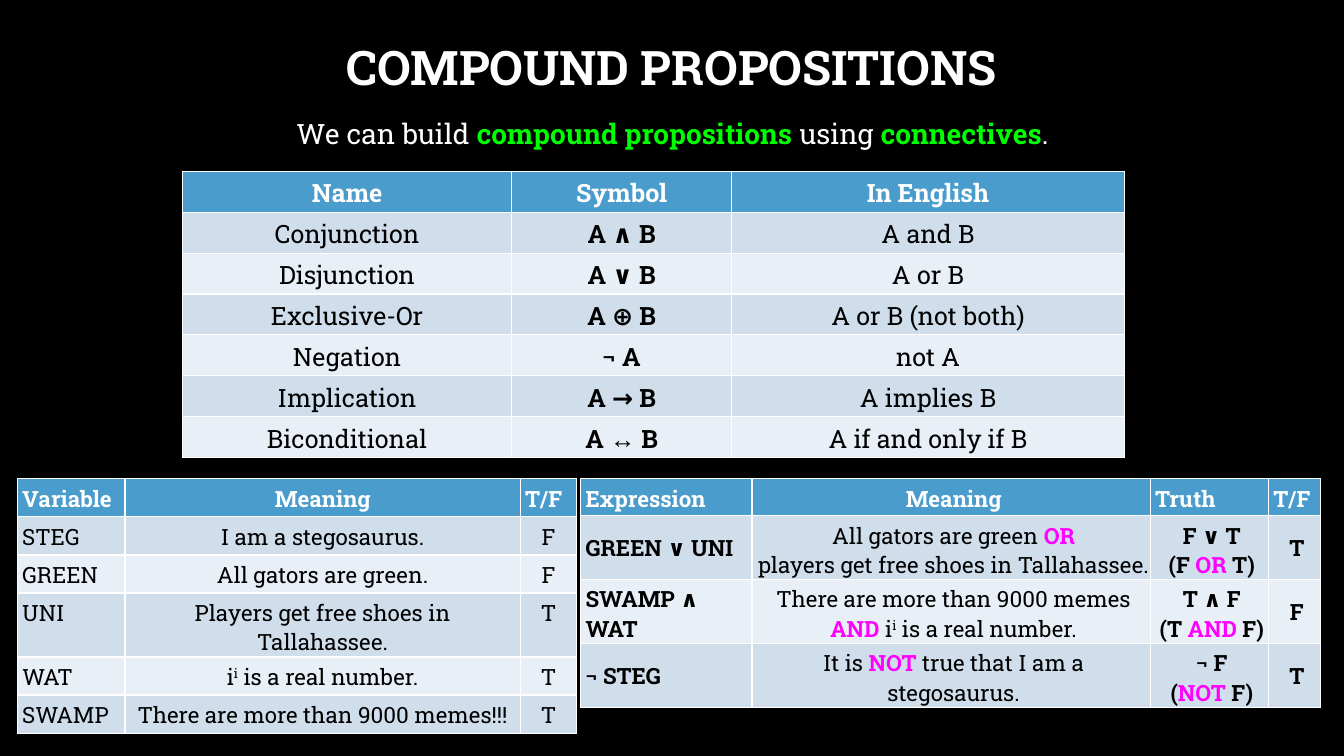
from pptx import Presentation
from pptx.dml.color import RGBColor
from pptx.enum.text import MSO_ANCHOR, PP_ALIGN
from pptx.util import Inches, Pt

LEFT, CENTER = PP_ALIGN.LEFT, PP_ALIGN.CENTER
TOP, MIDDLE = MSO_ANCHOR.TOP, MSO_ANCHOR.MIDDLE
BLACK = RGBColor(0x00, 0x00, 0x00)
WHITE = RGBColor(0xFF, 0xFF, 0xFF)
GREEN = RGBColor(0x00, 0xFF, 0x00)
PINK = RGBColor(0xFF, 0x00, 0xFF)
HEAD = RGBColor(0x4A, 0x9C, 0xCC)
BANDS = RGBColor(0xE9, 0xEF, 0xF6), RGBColor(0xD0, 0xDE, 0xEC)


class Deck:
    """Style and current slide; lengths are percent of the slide's size."""
    font = "Roboto Slab"

    def __init__(self):
        self.prs = Presentation()
        self.prs.slide_width = Inches(13.33)
        self.prs.slide_height = Inches(7.5)
        self.slide = self.prs.slides.add_slide(self.prs.slide_layouts[6])
        fill = self.slide.background.fill
        fill.solid()
        fill.fore_color.rgb = BLACK

    def wide(self, share):
        return round(self.prs.slide_width * share / 100)

    def high(self, share):
        return round(self.prs.slide_height * share / 100)

    def words(self, frame, text, size, color, bold=False, accent=PINK, align=CENTER):
        """Runs part at "|": "*" marks an accent, "^" a superscript."""
        for i, line in enumerate(text.split("\n")):
            para = frame.add_paragraph() if i else frame.paragraphs[0]
            para.alignment = align
            for part in line.split("|"):
                if part == "\v":
                    para.add_line_break()
                    continue
                run = para.add_run()
                run.text = part.lstrip("*^")
                font = run.font
                font.name = "Arial" if part == "↔" else self.font
                font.size = Pt(size)
                font.bold = bold or part.startswith("*")
                font.color.rgb = accent if part.startswith("*") else color
                if part.startswith("^"):
                    font._element.set("baseline", "30000")

    def text(self, x, y, w, h, text, size, space, anchor=TOP, **style):
        box = self.slide.shapes.add_textbox(
            self.wide(x), self.high(y), self.wide(w), self.high(h))
        frame = box.text_frame
        frame.word_wrap = True
        frame.vertical_anchor = anchor
        self.words(frame, text, size, WHITE, **style)
        for para in frame.paragraphs:
            para.line_spacing = space

    def table(self, x, y, cols, rows, data, size, bold, pads=None, lead=True, anchor=TOP):
        """bold lists the bold body columns; lead puts labels on the left."""
        shape = self.slide.shapes.add_table(
            len(data), len(cols), self.wide(x), self.high(y),
            self.wide(sum(cols)), self.high(sum(rows)))
        grid = shape.table
        for col, share in zip(grid.columns, cols):
            col.width = self.wide(share)
        for r, (row, share) in enumerate(zip(grid.rows, rows)):
            row.height = self.high(share)
            for c, cell in enumerate(row.cells):
                top = r == 0
                cell.fill.solid()
                cell.fill.fore_color.rgb = HEAD if top else BANDS[r % 2]
                cell.vertical_anchor = TOP if top else anchor
                if pads:
                    (cell.margin_left, cell.margin_top,
                     cell.margin_right, cell.margin_bottom) = map(Inches, pads)
                side = lead and (c == 0 or top and c != 1)
                self.words(cell.text_frame, data[r][c], size,
                           WHITE if top else BLACK, bold=top or c in bold,
                           align=LEFT if side else CENTER)


NAMES = [
    ("Name", "Symbol", "In English"),
    ("Conjunction", "A ∧ B", "A and B"),
    ("Disjunction", "A ∨ B", "A or B"),
    ("Exclusive-Or", "A ⊕ B", "A or B (not both)"),
    ("Negation", "¬ A", "not A"),
    ("Implication", "A → B", "A implies B"),
    ("Biconditional", "A |↔| B", "A if and only if B"),
]
FACTS = [
    ("Variable", "Meaning", "T/F"),
    ("STEG", "I am a stegosaurus.", "F"),
    ("GREEN", "All gators are green.", "F"),
    ("UNI", "Players get free shoes in Tallahassee.", "T"),
    ("WAT", "i|^i| is a real number.", "T"),
    ("SWAMP", "There are more than 9000 memes!!!", "T"),
]
CASES = [
    ("Expression", "Meaning", "Truth", "T/F"),
    ("GREEN ∨ UNI",
     "All gators are green |*OR|\v|players get free shoes in Tallahassee.",
     "F ∨ T\n(F |*OR| T)", "T"),
    ("SWAMP ∧ WAT",
     "There are more than 9000 memes|\v|*AND| i|^i| is a real number.",
     "T ∧ F\n(T |*AND| F)", "F"),
    ("¬ STEG", "It is |*NOT| true that I am a stegosaurus.",
     "¬ F|\v|(|*NOT| F)", "T"),
]


def main():
    deck = Deck()

    # Title and lead sentence
    deck.text(7.5, 3.33, 84.92, 11.87, "COMPOUND PROPOSITIONS", 34, 0.9,
              anchor=MIDDLE, bold=True)
    deck.text(7.58, 13.87, 84.92, 8.13,
              "We can build |*compound propositions| using |*connectives|.",
              20, 1.2, accent=GREEN)

    # Connectives
    deck.table(13.58, 22.67, [24.5, 16.35, 29.25], [5.41] * 7, NAMES, 18,
               bold=[1], lead=False)

    # Variables and the expressions built from them
    deck.table(1.28, 63.33, [8.03, 29.4, 4.2], [5.04] * 6, FACTS, 16,
               bold=[], pads=(0.05, 0.05, 0.05, 0.05))
    deck.table(43.2, 63.33, [12.75, 29.63, 8.8, 3.85], [2.13] + [3.73] * 3,
               CASES, 16, bold=[0, 2, 3], pads=(0.05, 0.05, 0, 0.05),
               anchor=MIDDLE)

    deck.prs.save("out.pptx")


if __name__ == "__main__":
    main()
